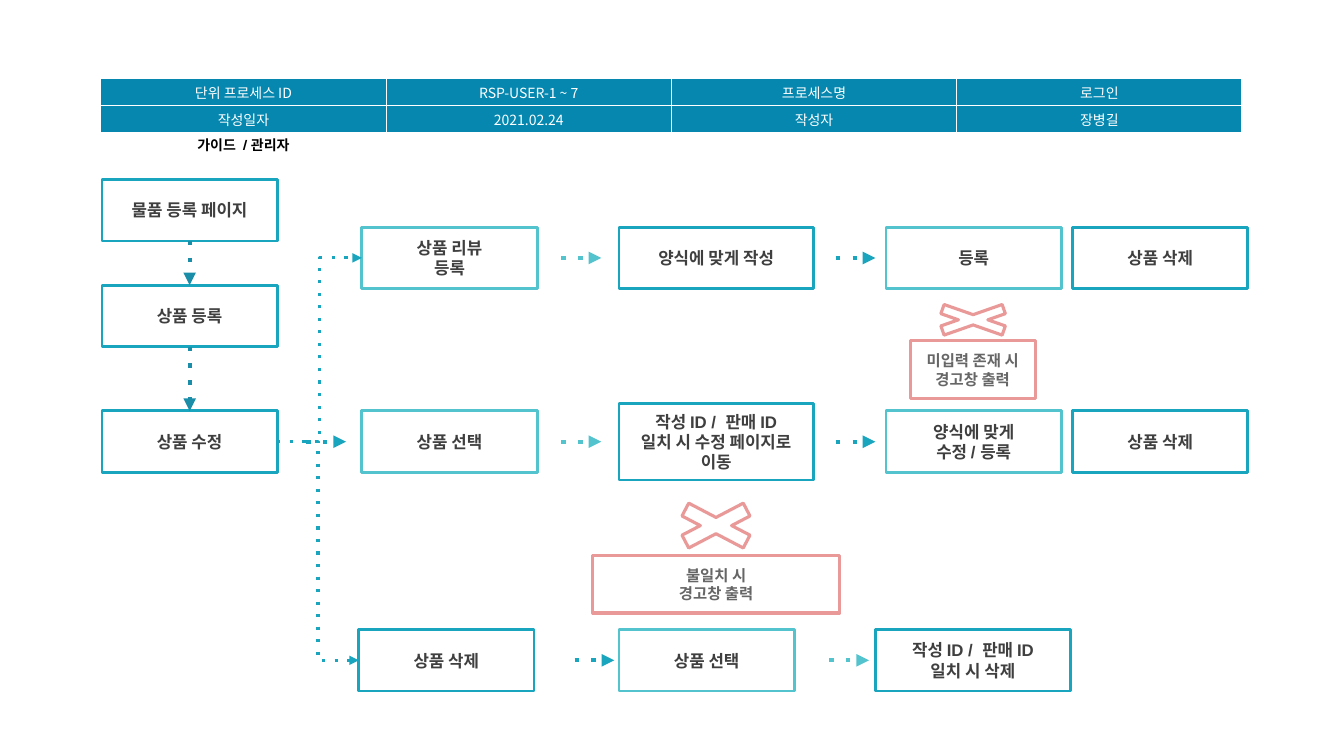
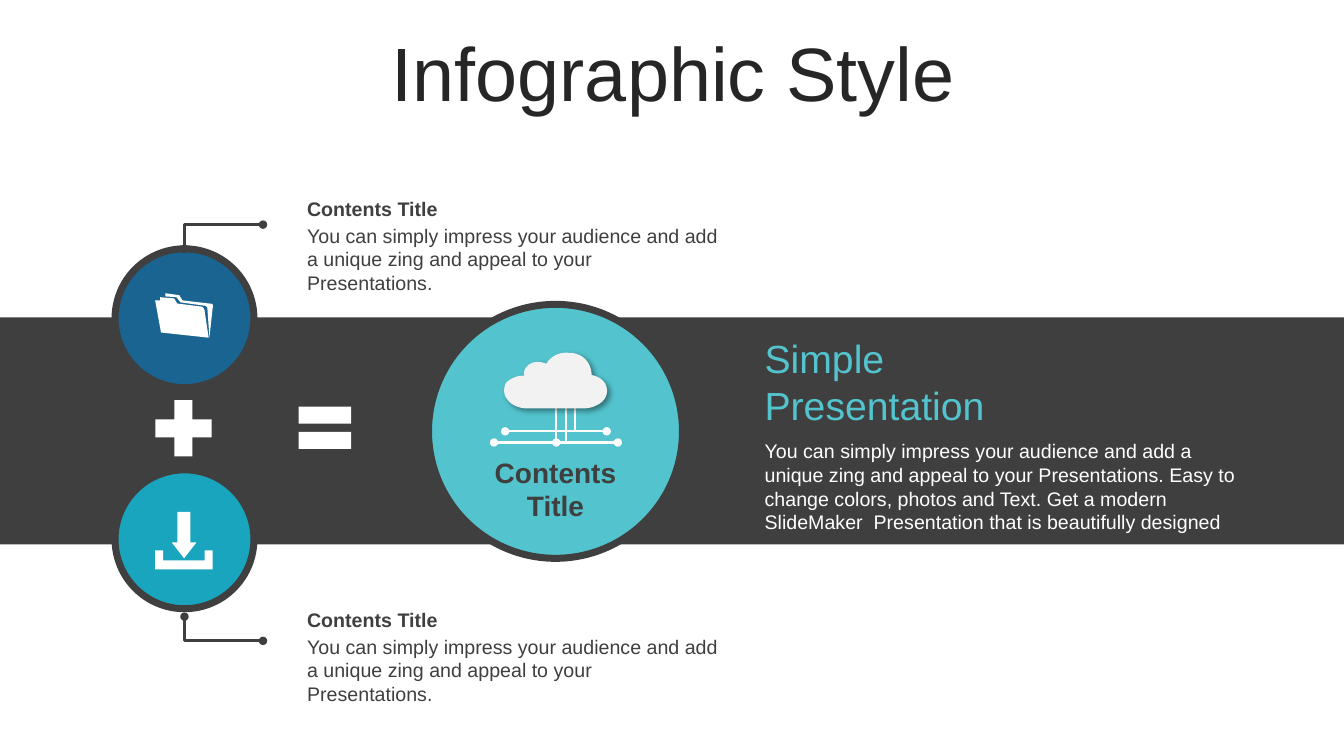
import pptx
import pptx.util
import pptx.dml.color
import pptx.enum.shapes
import pptx.enum.text
import pptx.oxml
import pptx.oxml.ns
from pptx.util import Cm, Pt

SHAPE = pptx.enum.shapes.MSO_SHAPE
LINK = pptx.enum.shapes.MSO_CONNECTOR
ALIGN = pptx.enum.text.PP_ALIGN
MIDDLE = pptx.enum.text.MSO_ANCHOR.MIDDLE
qn = pptx.oxml.ns.qn

# Shared look
TEAL, AQUA, DEEP, BLUE = "19A5BE", "53C3CD", "1A8EA9", "196491"
DARK, GREY, PINK, WHITE, HEAD = "3F3F3F", "666666", "EA9999", "FFFFFF", "0587AF"
LATIN, HANGUL = "Arial", "Noto Sans CJK KR"

# Process slide: lengths in cm
HEADER = [["단위 프로세스 ID", "RSP-USER-1 ~ 7", "프로세스명", "로그인"],
          ["작성일자", "2021.02.24", "작성자", "장병길"]]
ROWS = [6.5, 11.13, 16.64]
BOX_W, WIDE_W, BOX_H, TALL_H = 4.42, 4.9, 1.55, 1.93
STEPS = {  # name: (left, middle, width, height, colour, text)
    "page": (2.57, 5.3, BOX_W, BOX_H, TEAL, "물품 등록 페이지"),
    "add": (2.57, 7.96, BOX_W, BOX_H, TEAL, "상품 등록"),
    "edit": (2.57, ROWS[1], BOX_W, BOX_H, TEAL, "상품 수정"),
    "review": (9.12, ROWS[0], BOX_W, BOX_H, AQUA, "상품 리뷰\v등록"),
    "write": (15.6, ROWS[0], WIDE_W, BOX_H, TEAL, "양식에 맞게 작성"),
    "save": (22.33, ROWS[0], BOX_W, BOX_H, AQUA, "등록"),
    "drop review": (27.03, ROWS[0], BOX_W, BOX_H, TEAL, "상품 삭제"),
    "pick": (9.12, ROWS[1], BOX_W, BOX_H, AQUA, "상품 선택"),
    "match": (15.6, ROWS[1], WIDE_W, TALL_H, TEAL,
              "작성 ID /  판매 ID\v일치 시 수정 페이지로\v이동"),
    "update": (22.33, ROWS[1], BOX_W, BOX_H, AQUA, "양식에 맞게\n수정 / 등록"),
    "drop item": (27.03, ROWS[1], BOX_W, BOX_H, TEAL, "상품 삭제"),
    "delete": (9.04, ROWS[2], BOX_W, BOX_H, TEAL, "상품 삭제"),
    "pick delete": (15.6, ROWS[2], BOX_W, BOX_H, AQUA, "상품 선택"),
    "match delete": (22.07, ROWS[2], WIDE_W, BOX_H, TEAL,
                     "작성 ID /  판매 ID\v일치 시 삭제"),
}
ARROW_LEN = 1.0
ARROWS = [(14.15, 0, AQUA), (21.06, 0, TEAL), (7.72, 1, TEAL), (14.15, 1, AQUA),
          (21.06, 1, TEAL), (14.48, 2, TEAL), (20.9, 2, AQUA)]
JOINS = [("page", 2, "add", 0, LINK.STRAIGHT, DEEP, 3),
         ("add", 2, "edit", 0, LINK.STRAIGHT, DEEP, 3),
         ("edit", 3, "delete", 1, LINK.ELBOW, TEAL, 2.25),
         ("edit", 3, "review", 1, LINK.ELBOW, TEAL, 2.25)]
WARNINGS = [  # cross box, message box, text
    ((16.56, 12.47, 2.97, 1.55), (14.94, 14.0, 6.22, 1.45), "불일치 시\n경고창 출력"),
    ((23.04, 7.54, 2.97, 1.04), (22.94, 8.59, 3.15, 1.45), "미입력 존재 시\v경고창 출력")]

# Infographic slide
PITCH = "You can simply impress your audience and add a unique zing and appeal to your Presentations."
PITCH_MORE = (PITCH + " Easy to change colors, photos and Text. Get a modern "
              "SlideMaker  Presentation that is beautifully designed")
NOTE_TOPS = [4.83, 15.19]
LEADERS = [(6.63, 5.66, 4.65, 6.27), (6.63, 16.15, 4.65, 15.54)]
DISCS = [((2.9, 6.27, 3.5, 3.5), BLUE), ((2.9, 11.84, 3.5, 3.5), TEAL),
         ((10.8, 7.67, 6.4, 6.4), AQUA)]
SIGNS = [(SHAPE.MATH_PLUS, (3.66, 9.83, 1.93, 1.93)),
         (SHAPE.MATH_EQUAL, (7.29, 9.88, 1.8, 1.8))]
CIRCUIT = [  # x1, y1, x2, y2, head, tail
    (14.02, 9.93, 14.02, 11.15, None, "oval"),
    (14.27, 10.1, 14.27, 11.15, None, None),
    (14.5, 10.2, 14.5, 10.87, None, None),
    (12.73, 10.87, 15.29, 10.87, "oval", "oval"),
    (12.45, 11.15, 15.57, 11.15, "oval", "oval")]
# Outlines: a pair is a corner, six numbers are a Bézier curve
CLOUD = [[(14.33, 8.89), (14.4, 8.89), (14.81, 8.94, 14.91, 9.27, 14.91, 9.45),
          (15.29, 9.53, 15.32, 9.8, 15.29, 9.93),
          (15.24, 10.19, 14.88, 10.29, 14.76, 10.29), (13.21, 10.29),
          (13, 10.26, 12.88, 10.19, 12.78, 10.06),
          (12.67, 9.93, 12.7, 9.75, 12.75, 9.65),
          (12.8, 9.6, 12.98, 9.45, 13.21, 9.47),
          (13.18, 9.35, 13.26, 9.22, 13.36, 9.17),
          (13.49, 9.09, 13.67, 9.12, 13.77, 9.17),
          (13.82, 9.07, 14, 8.86, 14.33, 8.89)]]
FOLDER = [[(4.04, 7.49), (4.39, 7.52), (4.47, 7.65), (5.03, 7.72),
           (5.13, 7.72, 5.16, 7.8, 5.16, 7.85), (5.26, 8.51), (4.06, 8.38),
           (3.91, 7.57), (4.04, 7.57)],
          [(4.17, 7.39), (4.52, 7.44), (4.6, 7.57), (5.28, 7.65),
           (5.38, 7.65, 5.38, 7.7, 5.36, 7.77), (5.28, 8.51), (5.23, 7.8),
           (5.23, 7.75, 5.21, 7.7, 5.13, 7.7), (4.55, 7.62), (4.45, 7.49),
           (4.17, 7.47)]]
DOWNLOAD = [[(3.91, 13.87), (4.11, 13.87), (4.11, 14.12), (5.16, 14.12),
             (5.16, 13.87), (5.36, 13.87), (5.36, 14.35), (3.91, 14.35)],
            [(4.47, 12.9), (4.8, 12.9), (4.8, 13.67), (4.95, 13.67),
             (4.64, 14.07), (4.33, 13.67), (4.47, 13.67)]]


def rgb(value):
    return pptx.dml.color.RGBColor.from_string(value)


def cm(values):
    return [Cm(v) for v in values]


def add_xml(parent, tag, **attrs):
    child = parent.makeelement(qn(tag), attrs)
    parent.append(child)
    return child


def style(p, size, color, bold=False, align=ALIGN.CENTER, font=LATIN):
    p.alignment = align
    for r in p.runs:
        r.font.size, r.font.bold = Pt(size), bold
        r.font.color.rgb = rgb(color)
        r.font.name = font
        add_xml(r._r.get_or_add_rPr(), "a:ea", typeface=HANGUL)


def paint(sp, fill=None, line=None, width=1.0):
    sp.shadow.inherit = False
    if fill:
        sp.fill.solid()
        sp.fill.fore_color.rgb = rgb(fill)
    else:
        sp.fill.background()
    if line:
        sp.line.color.rgb = rgb(line)
        sp.line.width = Pt(width)
    else:
        sp.line.fill.background()
    return sp


def add_shape(s, kind, box, fill=None, line=None, width=1.0):
    return paint(s.shapes.add_shape(kind, *cm(box)), fill, line, width)


def label(sp, text, size, color):
    tf = sp.text_frame
    tf.text, tf.word_wrap, tf.vertical_anchor = text, True, MIDDLE
    for p in tf.paragraphs:
        style(p, size, color, True)


def add_text(s, box, lines, align=ALIGN.LEFT):
    """lines: (text, size, colour, bold, space before)"""
    tf = s.shapes.add_textbox(*cm(box)).text_frame
    tf.word_wrap = True
    tf.text = "\n".join(line[0] for line in lines)
    for p, (_, size, color, bold, gap) in zip(tf.paragraphs, lines):
        style(p, size, color, bold, align)
        p.space_before = Pt(gap)


def add_line(s, ends, color, width, kind=LINK.STRAIGHT, dash=None, head=None, tail=None):
    c = s.shapes.add_connector(kind, *cm(ends))
    c.line.color.rgb = rgb(color)
    c.line.width = Pt(width)
    ln = c._element.spPr.find(qn("a:ln"))
    for tag, key, value in (("a:prstDash", "val", dash), ("a:headEnd", "type", head),
                            ("a:tailEnd", "type", tail)):
        if value:
            add_xml(ln, tag, **{key: value})
    add_xml(c._element.spPr, "a:effectLst")
    return c


def flatten(outline, steps=10):
    points = [outline[0]]
    for part in outline[1:]:
        if len(part) == 2:
            points.append(part)
            continue
        knots = [points[-1], part[:2], part[2:4], part[4:]]
        for i in range(1, steps + 1):
            t = i / steps
            weights = ((1 - t) ** 3, 3 * t * (1 - t) ** 2, 3 * t * t * (1 - t), t ** 3)
            points.append(tuple(sum(w * k[axis] for w, k in zip(weights, knots))
                                for axis in (0, 1)))
    return [cm(point) for point in points]


def add_outline(s, outlines, fill):
    first, *others = [flatten(outline) for outline in outlines]
    fb = s.shapes.build_freeform(*first[0], scale=1.0)
    fb.add_line_segments(first[1:], close=True)
    for points in others:
        fb.move_to(*points[0])
        fb.add_line_segments(points[1:], close=True)
    return paint(fb.convert_to_shape(), fill)


def new_slide(prs, title, box, size, color, bold=False, font=LATIN):
    s = prs.slides.add_slide(prs.slide_layouts[5])
    sp = s.shapes.title
    sp.left, sp.top, sp.width, sp.height = cm(box)
    tf = sp.text_frame
    tf.text, tf.vertical_anchor = title, MIDDLE
    tf.auto_size = pptx.enum.text.MSO_AUTO_SIZE.NONE
    p = tf.paragraphs[0]
    p.line_spacing = 0.9
    style(p, size, color, bold, font=font)
    return s


def add_header(s):
    frame = s.shapes.add_table(2, 4, *cm((2.54, 1.98, 28.76, 1.36)))
    for row, texts in zip(frame.table.rows, HEADER):
        for cell, text in zip(row.cells, texts):
            cell.text, cell.vertical_anchor = text, MIDDLE
            cell.margin_top = cell.margin_bottom = Cm(0)
            style(cell.text_frame.paragraphs[0], 10, WHITE, font=HANGUL)
            tcPr = cell._tc.get_or_add_tcPr()
            for side in ("a:lnL", "a:lnR", "a:lnT", "a:lnB"):
                ln = add_xml(tcPr, side, w=str(Pt(1)))
                add_xml(add_xml(ln, "a:solidFill"), "a:srgbClr", val=WHITE)
            cell.fill.solid()
            cell.fill.fore_color.rgb = rgb(HEAD)


def process_slide(prs):
    s = new_slide(prs, "가이드  / 관리자", (2.54, 3.35, 7.19, 0.66), 10, "000000", True, "Manrope")
    add_header(s)
    # Steps and the arrows between them
    boxes = {}
    for name, (left, middle, w, h, color, text) in STEPS.items():
        sp = add_shape(s, SHAPE.RECTANGLE, (left, middle - h / 2, w, h), line=color, width=2)
        label(sp, text, 12, DARK)
        boxes[name] = sp
    for x, row, color in ARROWS:
        add_line(s, (x, ROWS[row], x + ARROW_LEN, ROWS[row]), color, 3,
                 dash="dot", tail="triangle")
    for start, side, end, end_side, kind, color, width in JOINS:
        c = add_line(s, (0, 0, 1, 1), color, width, kind, "dot", tail="triangle")
        c.begin_connect(boxes[start], side)
        c.end_connect(boxes[end], end_side)
    # Warnings
    for cross, box, text in WARNINGS:
        add_shape(s, SHAPE.MATH_MULTIPLY, cross, WHITE, PINK, 2.25)
        label(add_shape(s, SHAPE.RECTANGLE, box, line=PINK, width=2.25), text, 11, GREY)


def infographic_slide(prs):
    s = new_slide(prs, "Infographic Style", (0.89, 0.94, 32.16, 2.01), 54, "262626")
    # Band, discs and signs
    add_shape(s, SHAPE.RECTANGLE, (0, 8, 33.87, 5.72), DARK)
    for box, fill in DISCS:
        add_shape(s, SHAPE.OVAL, box, fill, DARK, 5)
    for kind, box in SIGNS:
        add_shape(s, kind, box, WHITE)
    # Texts
    add_text(s, (19.02, 8.31, 12.7, 5.18),
             [("Simple", 28, AQUA, False, 0), ("Presentation", 28, AQUA, False, 0),
              (PITCH_MORE, 14, WHITE, False, 7.5)])
    add_text(s, (10.8, 11.35, 6.4, 1.96),
             [(word, 20, DARK, True, 0) for word in ("Contents", "Title")], ALIGN.CENTER)
    for top in NOTE_TOPS:
        add_text(s, (7.49, top, 10.9, 2.7),
                 [("Contents Title", 14, DARK, True, 0), (PITCH, 14, DARK, False, 2.5)])
    for ends in LEADERS:
        c = add_line(s, ends, DARK, 2, LINK.ELBOW, head="oval", tail="oval")
        c._element.spPr.find(qn("a:prstGeom")).set("prst", "bentConnector2")
    # Icons
    for *ends, head, tail in CIRCUIT:
        add_line(s, ends, WHITE, 1.5, head=head, tail=tail)
    cloud = add_outline(s, CLOUD, "F2F2F2")
    shadow = add_xml(cloud._element.spPr.find(qn("a:effectLst")), "a:outerShdw",
                     blurRad=str(Pt(4)), dist=str(Pt(3)), dir="2700000", algn="tl")
    add_xml(add_xml(shadow, "a:srgbClr", val="000000"), "a:alpha", val="40000")
    for icon in (FOLDER, DOWNLOAD):
        add_outline(s, icon, WHITE)


def main():
    prs = pptx.Presentation()
    prs.slide_width, prs.slide_height = Cm(33.87), Cm(19.05)
    process_slide(prs)
    infographic_slide(prs)
    prs.save("out.pptx")


if __name__ == "__main__":
    main()
